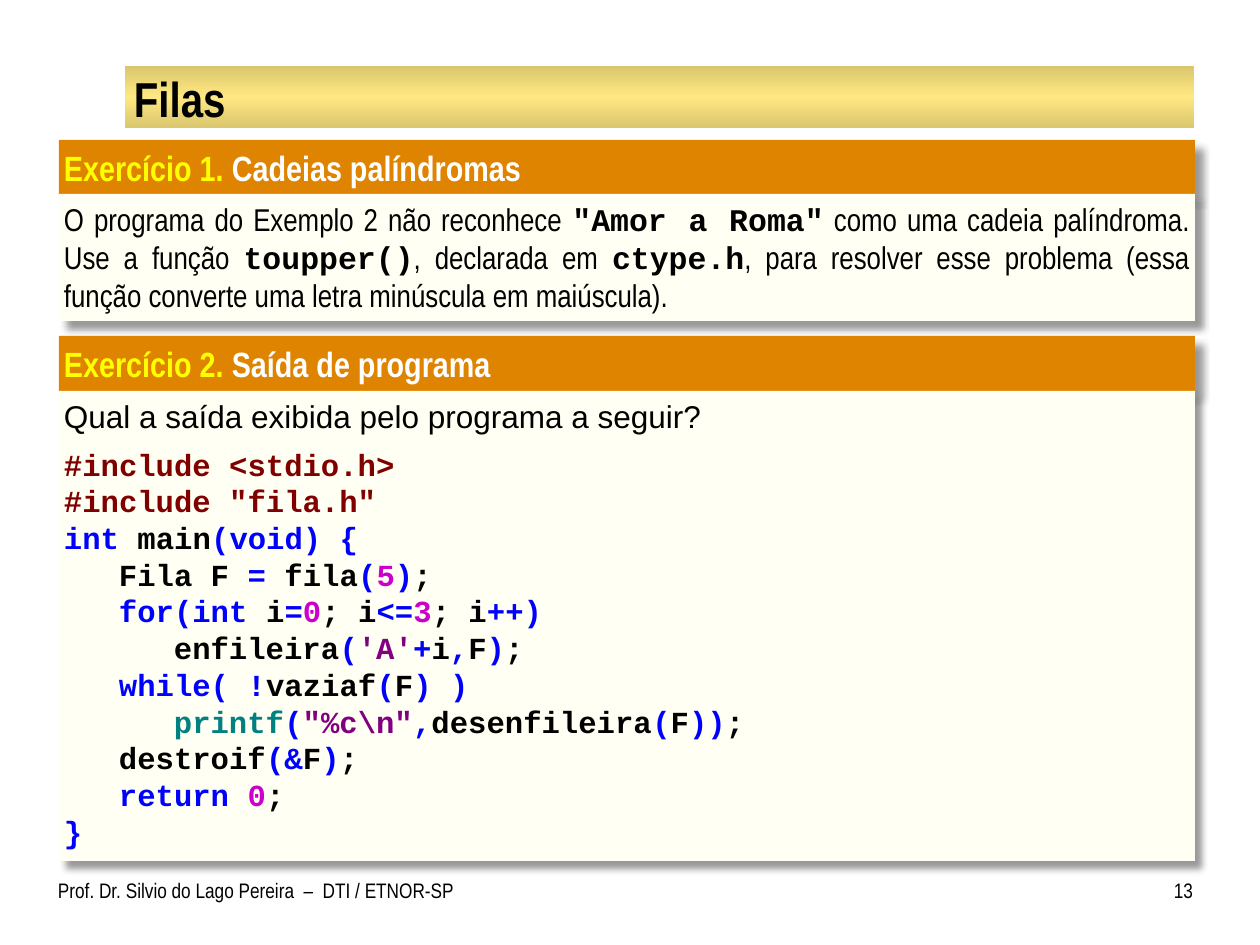
"""Build the "Filas" slide with two exercises on queues."""
from copy import deepcopy

from lxml import etree
from pptx import Presentation
from pptx.dml.color import RGBColor
from pptx.enum.shapes import MSO_SHAPE as SHAPE
from pptx.enum.text import MSO_ANCHOR as ANCHOR, PP_ALIGN as ALIGN
from pptx.oxml.ns import qn
from pptx.util import Emu, Pt

PX = 914400 / 126
COLORS = {
    "header": "DE8400", "body": "FFFFF3", "gold": "FFE781", "dark gold": "DAC66E",
    "yellow": "FFFF00", "white": "FFFFFF", "black": "000000", "directive": "800000",
    "key": "0000FF", "number": "CC00CC", "string": "800080", "library": "008080",
}
NARROW, SANS, MONO = "Arial Narrow", "Arial", "Courier New"
INDENT = 55


def px(*lengths):
    return [Emu(round(length * PX)) for length in lengths]


def write(paragraph, text, font=NARROW, size=18, color="black", bold=False):
    run = paragraph.add_run()
    run.text = text
    run.font.name = font
    run.font.size = Pt(size)
    run.font.bold = bold
    run.font.color.rgb = RGBColor.from_string(COLORS[color])


prs = Presentation()
prs.slide_width, prs.slide_height = px(1260, 945)
slide = prs.slides.add_slide(prs.slide_layouts[6])

title_bar = slide.shapes.add_shape(SHAPE.RECTANGLE, *px(125, 66, 1069, 62))
title_bar.shadow.inherit = False
title_bar.line.fill.background()
title_bar.fill.gradient()
title_bar.fill.gradient_angle = 90
for stop in title_bar.fill.gradient_stops:
    stop.color.rgb = RGBColor.from_string(COLORS["dark gold"])
edge = title_bar._element.spPr.find(f".//{qn('a:gs')}")
middle = deepcopy(edge)
middle.set("pos", "50000")
middle[0].set("val", COLORS["gold"])
edge.addnext(middle)

panels = {}
for part, top, height, fill, right_inset in [
    ("header 2", 336, 55, "header", 13), ("body 2", 391, 470, "body", 5),
    ("header 1", 140, 55, "header", 13), ("body 1", 194, 127, "body", 5),
]:
    panel = slide.shapes.add_shape(SHAPE.RECTANGLE, *px(59, top, 1136, height))
    panel.fill.solid()
    panel.fill.fore_color.rgb = RGBColor.from_string(COLORS[fill])
    panel.line.fill.background()
    panel.shadow.inherit = False
    effects = panel._element.spPr.find(qn("a:effectLst"))
    shadow = etree.SubElement(effects, qn("a:outerShdw"), blurRad=str(Pt(4)),
                              dist=str(Pt(6)), dir="2700000", algn="tl", rotWithShape="0")
    tint = etree.SubElement(shadow, qn("a:srgbClr"), val=COLORS["black"])
    etree.SubElement(tint, qn("a:alpha"), val="40000")
    frame = panel.text_frame
    frame.word_wrap = True
    frame.vertical_anchor = ANCHOR.TOP
    frame.margin_left, frame.margin_right = px(5, right_inset)
    frame.paragraphs[0].alignment = ALIGN.LEFT
    panels[part] = frame

for number, topic in [(1, "Cadeias palíndromas"), (2, "Saída de programa")]:
    heading = panels[f"header {number}"].paragraphs[0]
    write(heading, f"Exercício {number}.", size=20, color="yellow", bold=True)
    write(heading, f" {topic}", size=20, color="white", bold=True)

exercise = panels["body 1"].paragraphs[0]
exercise.alignment = ALIGN.JUSTIFY
for text, is_code in [
    ("O programa do Exemplo 2 não reconhece ", False),
    ('"Amor a Roma"', True),
    (" como uma cadeia palíndroma. Use a função ", False),
    ("toupper()", True),
    (", declarada em ", False),
    ("ctype.h", True),
    (", para resolver esse problema (essa função converte uma letra minúscula "
     "em maiúscula).", False),
]:
    write(exercise, text, font=MONO if is_code else NARROW, bold=is_code)

program = [
    (0, [("#include <stdio.h>", "directive")]),
    (0, [('#include "fila.h"', "directive")]),
    (0, [("int", "key"), (" main", "black"), ("(void) {", "key")]),
    (1, [("Fila F ", "black"), ("=", "key"), (" fila", "black"), ("(", "key"),
         ("5", "number"), (")", "key"), (";", "black")]),
    (1, [("for(int", "key"), (" i", "black"), ("=", "key"), ("0", "number"),
         ("; i", "black"), ("<=", "key"), ("3", "number"), ("; i", "black"),
         ("++)", "key")]),
    (2, [("enfileira", "black"), ("(", "key"), ("'A'", "string"), ("+", "key"),
         ("i", "black"), (",", "key"), ("F", "black"), (")", "key"), (";", "black")]),
    (1, [("while( !", "key"), ("vaziaf", "black"), ("(", "key"), ("F", "black"),
         (") )", "key")]),
    (2, [("printf", "library"), ("(", "key"), ('"%c\\n"', "string"), (",", "key"),
         ("desenfileira", "black"), ("(", "key"), ("F", "black"), ("))", "key"),
         (";", "black")]),
    (1, [("destroif", "black"), ("(&", "key"), ("F", "black"), (")", "key"),
         (";", "black")]),
    (1, [("return ", "key"), ("0", "number"), (";", "black")]),
    (0, [("}", "key")]),
]
write(panels["body 2"].paragraphs[0], "Qual a saída exibida pelo programa a seguir?", font=SANS)
for index, (depth, tokens) in enumerate(program):
    code_line = panels["body 2"].add_paragraph()
    code_line.alignment = ALIGN.LEFT
    code_line.space_before = Pt(0 if index else 6)
    code_line._p.get_or_add_pPr().set("marL", str(px(INDENT * depth)[0]))
    for text, color in tokens:
        write(code_line, text, font=MONO, size=17.5, color=color, bold=True)

for text, box, insets, align, anchor, size, bold in [
    ("Filas", (126, 68, 1067, 59), (8, 1, 8, 1), ALIGN.LEFT, ANCHOR.MIDDLE, 28, True),
    ("Prof. Dr. Silvio do Lago Pereira  –  DTI / ETNOR-SP", (58, 872, 412, 53),
     (0, 6, 13, 6), ALIGN.LEFT, ANCHOR.TOP, 12, False),
    ("13", (1144, 872, 49, 53), (13, 6, 0, 6), ALIGN.RIGHT, ANCHOR.TOP, 12, False),
]:
    label = slide.shapes.add_textbox(*px(*box)).text_frame
    label.word_wrap = True
    label.vertical_anchor = anchor
    label.margin_left, label.margin_top, label.margin_right, label.margin_bottom = px(*insets)
    label.paragraphs[0].alignment = align
    write(label.paragraphs[0], text, size=size, bold=bold)

prs.save("out.pptx")
